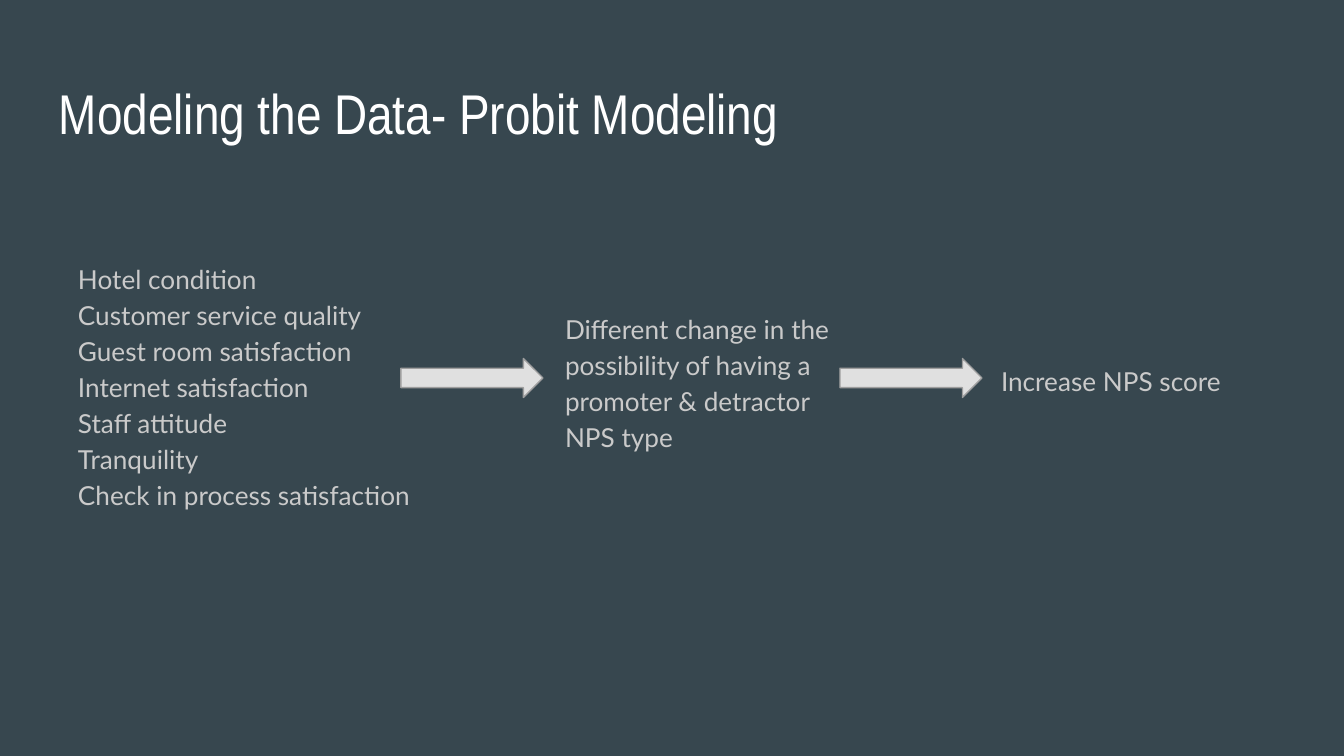
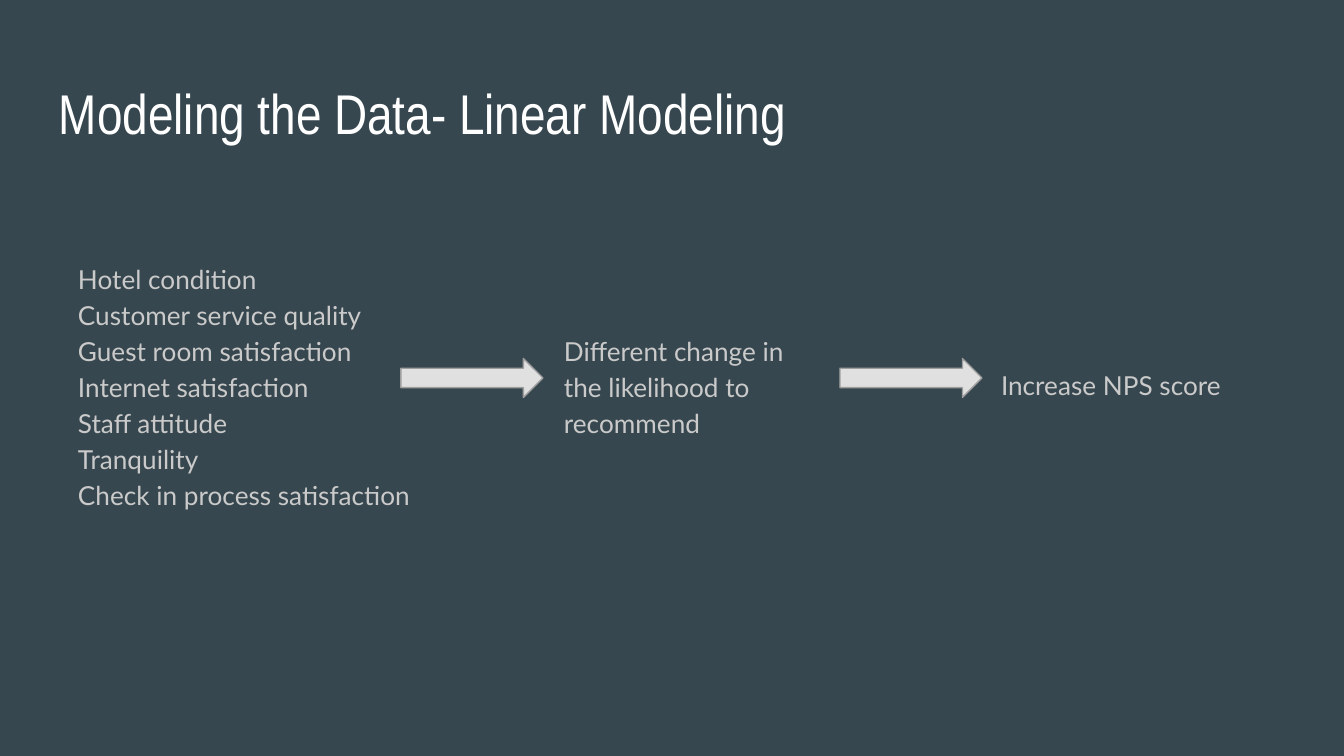
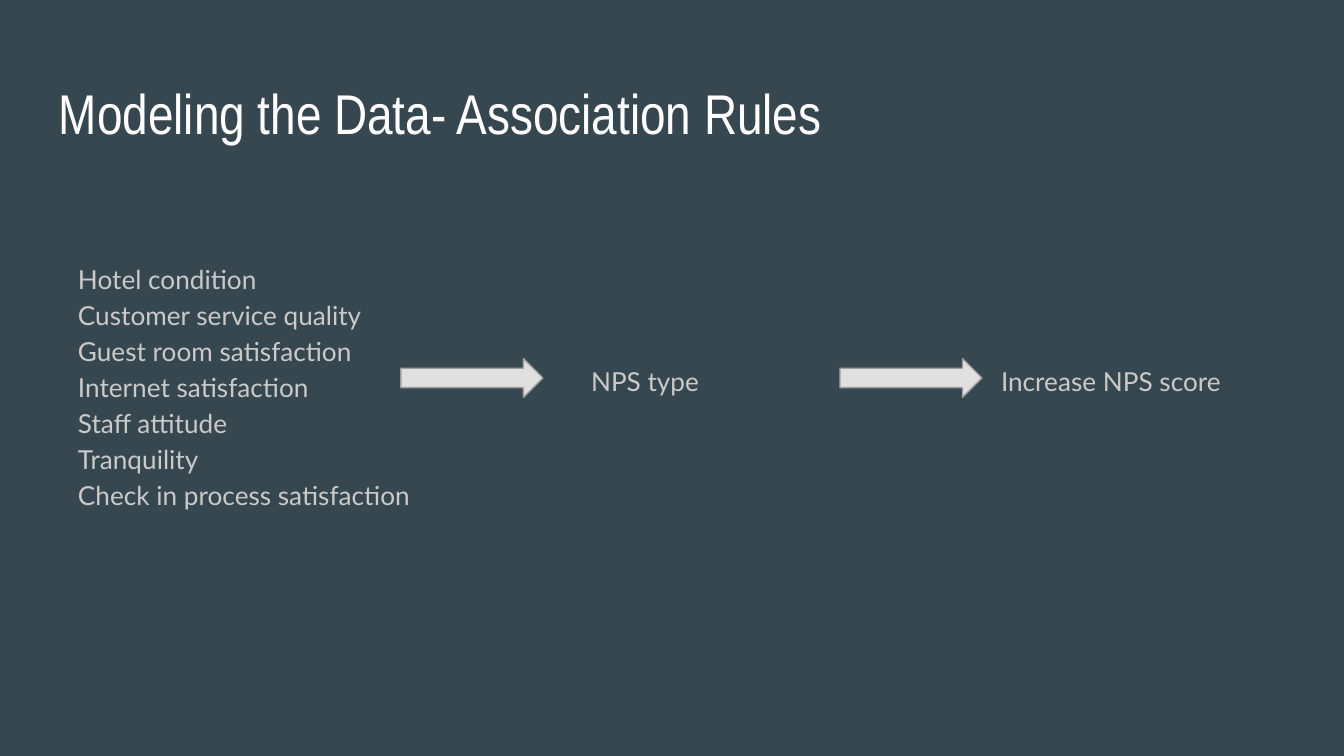
from pptx import Presentation
from pptx import util as u
from pptx.dml.color import RGBColor
from pptx.enum import shapes, text

PX = u.Inches(10) / 1344
WIDE, HIGH = 1344, 756
PAD = 13
MID = 378  # centre line of the arrows and the score
COLORS = {
    "back": "37474F", "title": "FFFFFF", "body": "CACACA",
    "arrow": "E0E0E0", "edge": "9E9E9E",
}
FACTORS = [
    "Hotel condition", "Customer service quality", "Guest room satisfaction",
    "Internet satisfaction", "Staff attitude", "Tranquility",
    "Check in process satisfaction",
]
# title, effect text, effect box, height of the score box
MODELS = [
    ("Modeling the Data- Probit Modeling",
     "Different change in the possibility of having a promoter & detractor NPS type",
     (552, 296, 310, 177), 60),
    ("Modeling the Data- Linear Modeling",
     "Different change in the likelihood to recommend",
     (551, 318, 278, 133), 52),
    ("Modeling the Data- Association Rules",
     "NPS type",
     (578, 348, 310, 60), 60),
]


def color(name):
    return RGBColor.from_string(COLORS[name])


def scale(*sizes):
    return [round(size * PX) for size in sizes]


def write(parent, box, lines, font, size, tone, space=None):
    frame = parent.add_textbox(*scale(*box)).text_frame
    frame.word_wrap = True
    frame.vertical_anchor = text.MSO_ANCHOR.TOP
    frame.margin_left, frame.margin_top, frame.margin_right, frame.margin_bottom = scale(*[PAD] * 4)
    frame.text = "\n".join(lines)
    for para in frame.paragraphs:
        para.line_spacing = space
        for run in para.runs:
            run.font.name = font
            run.font.size = u.Pt(size)
            run.font.color.rgb = color(tone)


def body(parent, box, lines):
    write(parent, box, lines, "Lato", 14, "body", 1.15)


def arrow(parent, left):
    wide, high = 142, 39
    shape = parent.add_shape(shapes.MSO_SHAPE.RIGHT_ARROW,
                             *scale(left, MID - high / 2, wide, high))
    shape.shadow.inherit = False
    shape.fill.solid()
    shape.fill.fore_color.rgb = color("arrow")
    shape.line.color.rgb = color("edge")
    shape.line.width = u.Pt(0.75)


def flow(slide, effect, box, high):
    """Lead from the factors through their effect to the score."""
    parts = slide.shapes.add_group_shape().shapes
    body(parts, (65, 246, 362, 277), FACTORS)
    arrow(parts, 401)
    body(parts, box, [effect])
    arrow(parts, 840)
    body(parts, (988, MID - high / 2, 310, high), ["Increase NPS score"])


def model(deck, title, effect, box, high):
    slide = deck.slides.add_slide(deck.slide_layouts[6])
    slide.background.fill.solid()
    slide.background.fill.fore_color.rgb = color("back")
    write(slide.shapes, (46, 66, 1252, 85), [title], "Arial Narrow", 30, "title")
    flow(slide, effect, box, high)


def main():
    deck = Presentation()
    deck.slide_width, deck.slide_height = scale(WIDE, HIGH)
    for entry in MODELS:
        model(deck, *entry)
    deck.save("out.pptx")


if __name__ == "__main__":
    main()
